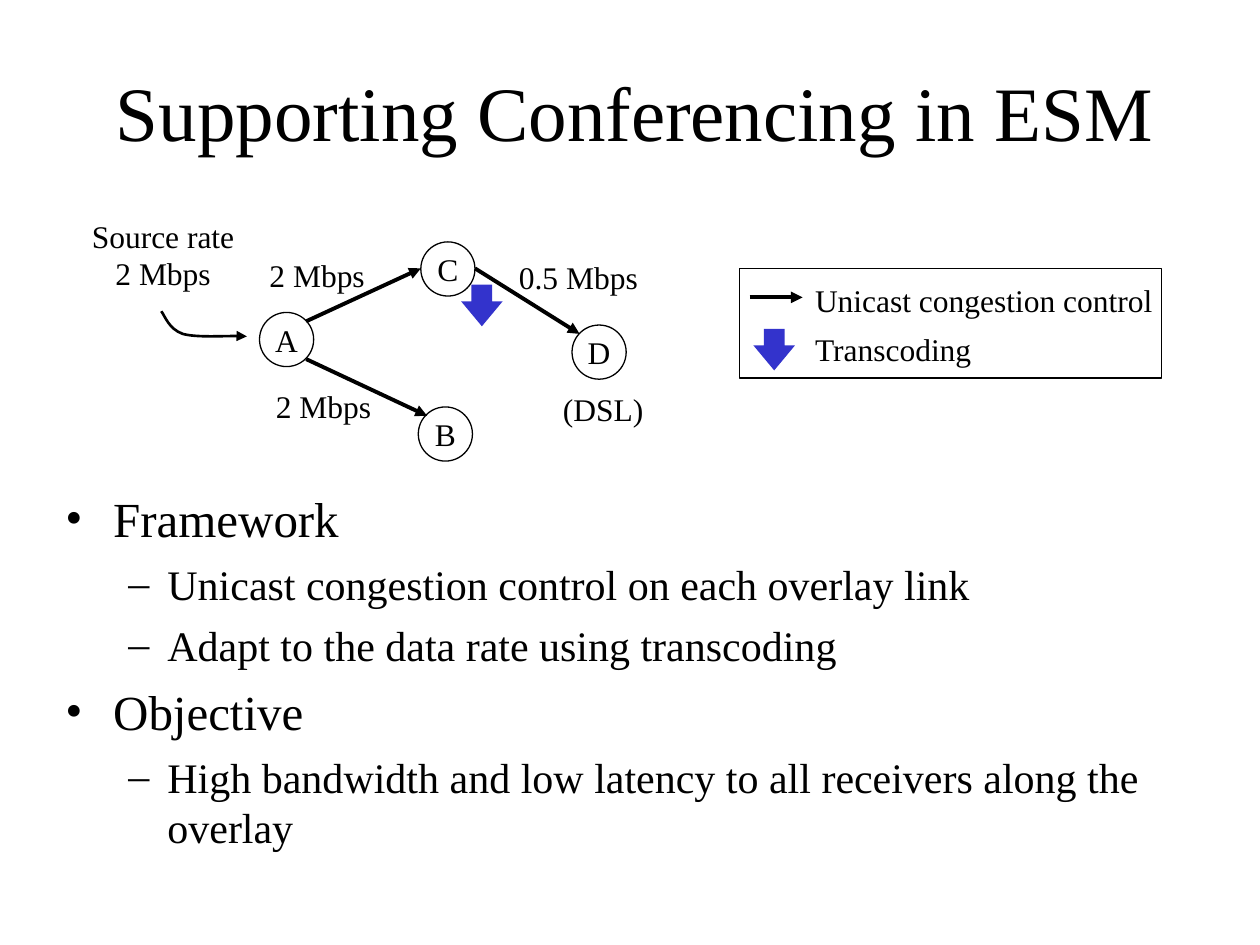
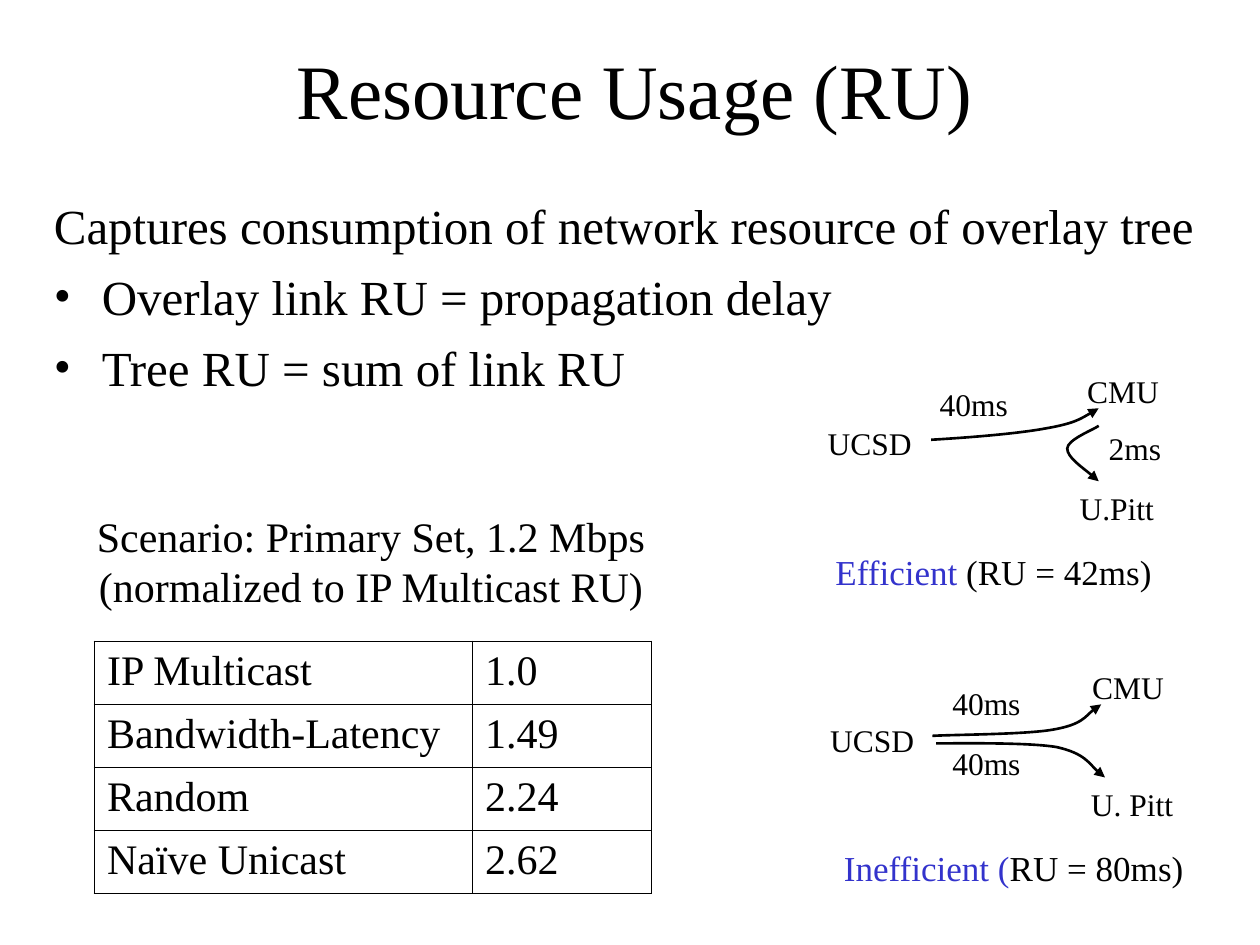
from dataclasses import dataclass
from typing import Any, NamedTuple

from lxml import etree
from pptx import Presentation
from pptx.dml.color import RGBColor
from pptx.enum.shapes import MSO_CONNECTOR, MSO_SHAPE
from pptx.enum.text import MSO_ANCHOR, MSO_AUTO_SIZE, PP_ALIGN
from pptx.oxml.ns import qn
from pptx.util import Inches, Pt

OVAL, RECT, DOWN = MSO_SHAPE.OVAL, MSO_SHAPE.RECTANGLE, MSO_SHAPE.DOWN_ARROW
STRAIGHT = MSO_CONNECTOR.STRAIGHT
LEFT, CENTER = PP_ALIGN.LEFT, PP_ALIGN.CENTER
TOP, MIDDLE = MSO_ANCHOR.TOP, MSO_ANCHOR.MIDDLE
FIXED = MSO_AUTO_SIZE.NONE

FONT = "Times New Roman"
COLORS = {"ink": "000000", "accent": "3333CC"}
NODE = 0.43  # diameter of a tree node
MARK = 0.33  # side of a transcoding mark
SLACK = 0.2  # spare label width that keeps each line whole

Point = tuple[float, float]
Box = tuple[float, float, float, float]


class Run(NamedTuple):
    text: str
    color: str = "ink"


class Level(NamedTuple):
    size: int
    margin: float
    indent: float
    before: int
    bullet: str


PLAIN = Level(28, 0.38, -0.38, 7, "")
MAIN = PLAIN._replace(bullet="•")
SUB = Level(24, 0.81, -0.31, 6, "–")


@dataclass
class Label:
    box: Box
    lines: list[list[Run]]
    size: int = 18
    align: Any = LEFT
    space: float = 1.0


def label(left: float, top: float, width: float, text: str) -> Label:
    return Label((left, top, width, 0.4), [[Run(text)]])


# Shared helpers
def rgb(name: str) -> RGBColor:
    return RGBColor.from_string(COLORS[name])


def apply(item: Any, values: dict[str, Any]) -> None:
    for key, value in values.items():
        setattr(item, key, value)


def add_runs(para: Any, runs: list[Run], size: int) -> None:
    for part in runs:
        run = para.add_run()
        run.text = part.text
        apply(run.font, {"name": FONT, "size": Pt(size)})
        run.font.color.rgb = rgb(part.color)


def set_line(shape: Any, width: float) -> None:
    shape.line.color.rgb = rgb("ink")
    shape.line.width = Pt(width)


def add_tip(shape: Any) -> None:
    line = shape.line._get_or_add_ln()
    etree.SubElement(line, qn("a:tailEnd"), type="triangle")


def text_box(slide: Any, box: Box, anchor: Any) -> Any:
    frame = slide.shapes.add_textbox(*map(Inches, box)).text_frame
    apply(frame, {"word_wrap": True, "auto_size": FIXED, "vertical_anchor": anchor})
    return frame


def draw_title(slide: Any, top: float, text: str) -> None:
    para = text_box(slide, (0.5, top, 9.08, 1.25), MIDDLE).paragraphs[0]
    para.alignment = CENTER
    add_runs(para, [Run(text)], 44)


def draw_body(slide: Any, box: Box, items: list[tuple[Level, str]]) -> None:
    frame = text_box(slide, box, TOP)
    for num, (level, text) in enumerate(items):
        para = frame.add_paragraph() if num else frame.paragraphs[0]
        props = para._p.get_or_add_pPr()
        props.set("marL", str(Inches(level.margin)))
        props.set("indent", str(Inches(level.indent)))
        if level.bullet:
            etree.SubElement(props, qn("a:buFont"), typeface=FONT)
            etree.SubElement(props, qn("a:buChar"), char=level.bullet)
        else:
            etree.SubElement(props, qn("a:buNone"))
        if num:
            para.space_before = Pt(level.before)
        add_runs(para, [Run(text)], level.size)


def draw_label(slide: Any, item: Label) -> None:
    left, top, width, height = item.box
    if item.align == CENTER:
        left -= SLACK / 2
    frame = text_box(slide, (left, top, width + SLACK, height), TOP)
    for num, runs in enumerate(item.lines):
        para = frame.add_paragraph() if num else frame.paragraphs[0]
        apply(para, {"alignment": item.align, "line_spacing": item.space})
        add_runs(para, runs, item.size)


def draw_shape(slide: Any, kind: Any, box: Box) -> Any:
    shape = slide.shapes.add_shape(kind, *map(Inches, box))
    shape.shadow.inherit = False
    shape.fill.background()
    set_line(shape, 0.75)
    return shape


def draw_node(slide: Any, name: str, left: float, top: float) -> None:
    frame = draw_shape(slide, OVAL, (left, top, NODE, NODE)).text_frame
    apply(frame, {"word_wrap": False, "auto_size": FIXED, "vertical_anchor": MIDDLE})
    para = frame.paragraphs[0]
    para.alignment = CENTER
    add_runs(para, [Run(name)], 18)


def draw_mark(slide: Any, left: float, top: float) -> None:
    mark = draw_shape(slide, DOWN, (left, top, MARK, MARK))
    mark.adjustments[1] = 0.6
    mark.fill.solid()
    mark.fill.fore_color.rgb = rgb("accent")
    mark.line.fill.background()


def draw_arrow(slide: Any, start: Point, end: Point) -> None:
    arrow = slide.shapes.add_connector(STRAIGHT, *map(Inches, start + end))
    set_line(arrow, 2.25)
    add_tip(arrow)
    etree.SubElement(arrow._element.spPr, qn("a:effectLst"))


def draw_curve(slide: Any, points: list[Point]) -> None:
    """Draw a start point followed by triples of Bezier points."""
    first, *rest = [(Inches(x), Inches(y)) for x, y in points]
    maker = slide.shapes.build_freeform(*first)
    maker.add_line_segments(rest, close=False)
    curve = maker.convert_to_shape()
    curve.shadow.inherit = False
    curve.fill.background()
    set_line(curve, 1.5)
    add_tip(curve)
    # Turn each three straight steps into one cubic segment
    steps = list(curve._element.iter(qn("a:lnTo")))
    for num in range(0, len(steps), 3):
        bend = steps[num]
        bend.tag = qn("a:cubicBezTo")
        for step in steps[num + 1:num + 3]:
            bend.append(step[0])
            step.getparent().remove(step)


def draw_border(cell: Any, side: str, width: float) -> None:
    line = etree.SubElement(cell._tc.get_or_add_tcPr(), qn(f"a:ln{side}"),
                            w=str(Pt(width)))
    fill = etree.SubElement(line, qn("a:solidFill"))
    etree.SubElement(fill, qn("a:srgbClr"), val=COLORS["ink"])


def draw_table(slide: Any, left: float, top: float, widths: list[float],
               height: float, rows: list[tuple[str, str]]) -> None:
    box = (left, top, sum(widths), height * len(rows))
    table = slide.shapes.add_table(len(rows), len(widths), *map(Inches, box)).table
    apply(table, {"first_row": False, "horz_banding": False})
    for col, width in zip(table.columns, widths):
        col.width = Inches(width)
    for r, row in enumerate(rows):
        table.rows[r].height = Inches(height)
        for c, text in enumerate(row):
            cell = table.cell(r, c)
            edges = {"L": c == 0, "R": c == len(row) - 1,
                     "T": r == 0, "B": r == len(rows) - 1}
            for side, outer in edges.items():
                draw_border(cell, side, 1.08 if outer else 0.45)
            cell.fill.background()
            add_runs(cell.text_frame.paragraphs[0], [Run(text)], 24)


# Slide 1: conferencing tree, legend and goals
def build_conference(slide: Any) -> None:
    draw_title(slide, 0.25, "Supporting Conferencing in ESM")
    draw_body(slide, (0.42, 3.83, 9.25, 3.33), [
        (MAIN, "Framework"),
        (SUB, "Unicast congestion control on each overlay link"),
        (SUB, "Adapt to the data rate using transcoding"),
        (MAIN, "Objective"),
        (SUB, "High bandwidth and low latency to all receivers along the overlay"),
    ])
    draw_shape(slide, RECT, (5.87, 2.13, 3.35, 0.87))
    for start, end in [((2.43, 2.55), (3.34, 2.13)), ((2.43, 2.85), (3.39, 3.3)),
                       ((3.77, 2.13), (4.6, 2.65)), ((5.95, 2.36), (6.37, 2.36))]:
        draw_arrow(slide, start, end)
    for name, left, top in [("A", 2.06, 2.48), ("B", 3.32, 3.23),
                            ("C", 3.34, 1.92), ("D", 4.54, 2.58)]:
        draw_node(slide, name, left, top)
    draw_curve(slide, [(1.28, 2.47), (1.31, 2.51), (1.34, 2.61), (1.45, 2.65),
                       (1.56, 2.68), (1.87, 2.66), (1.96, 2.67)])
    for left, top in [(3.66, 2.26), (5.98, 2.61)]:
        draw_mark(slide, left, top)
    for item in [
        label(2.09, 3.02, 0.95, "2 Mbps"),
        label(2.04, 1.98, 0.95, "2 Mbps"),
        label(4.02, 2, 1.14, "0.5 Mbps"),
        label(4.37, 3.05, 0.84, "(DSL)"),
        Label((0.63, 1.67, 1.33, 0.7), [[Run("Source rate")], [Run("2 Mbps")]],
              align=CENTER),
        Label((6.37, 2.09, 2.88, 0.88),
              [[Run("Unicast congestion control")], [Run("Transcoding")]], space=1.3),
    ]:
        draw_label(slide, item)


# Slide 2: resource usage table and two sample trees
def build_usage(slide: Any) -> None:
    draw_title(slide, 0.08, "Resource Usage (RU)")
    draw_body(slide, (0.33, 1.5, 9.67, 2.33), [
        (PLAIN, "Captures consumption of network resource of overlay tree"),
        (MAIN, "Overlay link RU = propagation delay"),
        (MAIN, "Tree RU = sum of link RU"),
    ])
    for points in [
        [(7.39, 3.49), (7.73, 3.47), (8.08, 3.44), (8.3, 3.4),
         (8.53, 3.36), (8.62, 3.3), (8.72, 3.24)],
        [(8.72, 3.38), (8.68, 3.41), (8.47, 3.49), (8.47, 3.56),
         (8.47, 3.63), (8.67, 3.77), (8.72, 3.82)],
        [(7.4, 5.84), (7.56, 5.83), (8.14, 5.83), (8.36, 5.79),
         (8.59, 5.75), (8.66, 5.63), (8.74, 5.59)],
        [(7.43, 5.9), (7.59, 5.9), (8.17, 5.89), (8.39, 5.93),
         (8.61, 5.98), (8.69, 6.12), (8.77, 6.17)],
    ]:
        draw_curve(slide, points)
    for item in [
        label(6.47, 3.32, 0.86, "UCSD"),
        label(8.53, 2.9, 0.77, "CMU"),
        label(8.47, 3.83, 0.79, "U.Pitt"),
        label(7.36, 3.01, 0.74, "40ms"),
        label(8.7, 3.36, 0.61, "2ms"),
        label(6.49, 5.67, 0.86, "UCSD"),
        label(8.57, 5.25, 0.77, "CMU"),
        label(8.56, 6.18, 0.85, "U. Pitt"),
        label(7.46, 5.38, 0.74, "40ms"),
        label(7.46, 5.86, 0.74, "40ms"),
        Label((6.44, 4.32, 2.89, 0.44),
              [[Run("Efficient", "accent"), Run(" (RU = 42ms)")]], 20, CENTER),
        Label((6.42, 6.67, 3.25, 0.44),
              [[Run("Inefficient (", "accent"), Run("RU = 80ms)")]], 20, CENTER),
        Label((0.67, 4, 4.55, 0.9),
              [[Run("Scenario: Primary Set, 1.2 Mbps")],
               [Run("(normalized to IP Multicast RU)")]], 24, CENTER),
    ]:
        draw_label(slide, item)
    draw_table(slide, 0.75, 5.09, [3, 1.42], 0.5, [
        ("IP Multicast", "1.0"), ("Bandwidth-Latency", "1.49"),
        ("Random", "2.24"), ("Naïve Unicast", "2.62")])


def main() -> None:
    deck = Presentation()
    apply(deck, {"slide_width": Inches(10), "slide_height": Inches(7.5)})
    for build in (build_conference, build_usage):
        build(deck.slides.add_slide(deck.slide_layouts[6]))
    deck.save("out.pptx")


if __name__ == "__main__":
    main()
